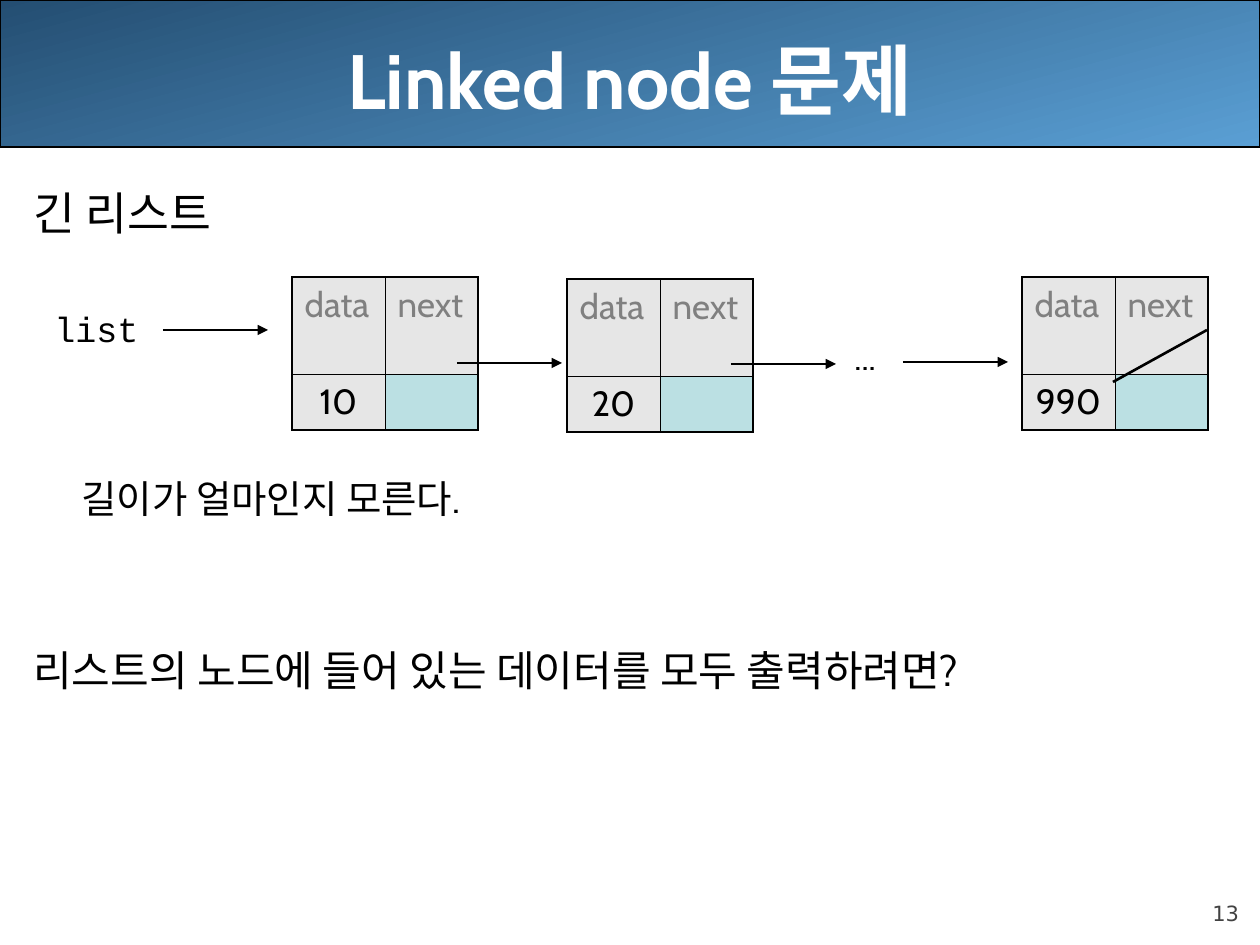
import pptx
import pptx.util
import pptx.dml.color
import pptx.enum.shapes
import pptx.enum.text
import pptx.oxml
import pptx.oxml.ns

PX = 914400 / 126
COLORS = {"black": "000000", "white": "FFFFFF", "dark": "244E72", "light": "5A9FD4",
          "gray": "808080", "cell": "E6E6E6", "pointer": "BBE0E3", "number": "424242"}
ALIGN = pptx.enum.text.PP_ALIGN
ANCHOR = pptx.enum.text.MSO_ANCHOR

TITLE = "Linked node 문제"
# text, size, indent in px, space before in pt
BODY = [
    ("긴 리스트", 26, 0, 0),
    ("길이가 얼마인지 모른다.", 22, 48, 134.5),
    ("리스트의 노드에 들어 있는 데이터를 모두 출력하려면?", 24, 0, 70.5),
]
# left, top, value
NODES = [(292, 277, "10"), (567, 279, "20"), (1022, 277, "990")]
FIELDS = ("data", "next")
COLUMN_WIDTH = 93
ROW_HEIGHTS = (97, 56)
# left, y; every arrow is equally long
ARROWS = [(163, 330), (457, 363), (731, 364), (903, 362)]
ARROW_LENGTH = 105
NULL_SLASH = (1207, 330, 1113, 382)
OUTER, INNER = 1.08, 0.45


def px(value):
    return pptx.util.Emu(round(value * PX))


def color(name):
    return pptx.dml.color.RGBColor.from_string(COLORS[name])


def drawing(xml):
    """Parse one element of the drawing namespace."""
    head, tail = xml.split(" ", 1) if " " in xml else (xml[:-2], "/>")
    return pptx.oxml.parse_xml(f"{head} {pptx.oxml.ns.nsdecls('a')} {tail}")


def write(para, text, size, font="Cabin", ink="black", bold=False, align=ALIGN.LEFT):
    para.alignment = align
    span = para.add_run()
    span.text = text
    span.font.size = pptx.util.Pt(size)
    span.font.name = font
    span.font.bold = bold
    span.font.color.rgb = color(ink)


def add_box(page, left, top, width, height, anchor=ANCHOR.TOP, wrap=True):
    box = page.shapes.add_textbox(px(left), px(top), px(width), px(height))
    box.text_frame.word_wrap = wrap
    box.text_frame.vertical_anchor = anchor
    return box.text_frame


def add_line(page, x1, y1, x2, y2, arrow=True):
    line = page.shapes.add_connector(
        pptx.enum.shapes.MSO_CONNECTOR.STRAIGHT, px(x1), px(y1), px(x2), px(y2))
    line.line.color.rgb = color("black")
    line.line.width = pptx.util.Pt(1.5)
    if arrow:
        line.line._get_or_add_ln().append(drawing('<a:tailEnd type="triangle"/>'))
    line._element.spPr.append(drawing("<a:effectLst/>"))


def set_borders(cell, row, column):
    """Heavy lines around the node, thin lines between its cells."""
    heavy = {"L": column == 0, "R": column == 1, "T": row == 0, "B": row == 1}
    properties = cell._tc.get_or_add_tcPr()
    for position, (side, is_outer) in enumerate(heavy.items()):
        width = pptx.util.Pt(OUTER if is_outer else INNER)
        properties.insert(position, drawing(
            f'<a:ln{side} w="{width}"><a:solidFill><a:srgbClr val="{COLORS["black"]}"/>'
            f'</a:solidFill></a:ln{side}>'))


def add_node(page, left, top, value):
    table = page.shapes.add_table(
        2, 2, px(left), px(top), px(2 * COLUMN_WIDTH), px(sum(ROW_HEIGHTS))).table
    table.first_row = table.horz_banding = False
    for column in table.columns:
        column.width = px(COLUMN_WIDTH)
    for row, height in zip(table.rows, ROW_HEIGHTS):
        row.height = px(height)
    for row in range(2):
        for column in range(2):
            cell = table.cell(row, column)
            cell.fill.solid()
            cell.fill.fore_color.rgb = color("pointer" if row and column else "cell")
            set_borders(cell, row, column)
    for column, field in enumerate(FIELDS):
        write(table.cell(0, column).text_frame.paragraphs[0], field, 20, ink="gray")
    write(table.cell(1, 0).text_frame.paragraphs[0], value, 20, align=ALIGN.CENTER)


def add_banner(page):
    banner = page.shapes.add_shape(
        pptx.enum.shapes.MSO_SHAPE.RECTANGLE, 0, 0, px(1260), px(147))
    banner.shadow.inherit = False
    banner.fill.gradient()
    banner.fill.gradient_angle = 285
    for stop, name, position in zip(banner.fill.gradient_stops, ("dark", "light"), (0, 1)):
        stop.color.rgb = color(name)
        stop.position = position
    banner.line.color.rgb = color("black")
    banner.line.width = pptx.util.Pt(0.75)


def main():
    deck = pptx.Presentation()
    deck.slide_width, deck.slide_height = px(1260), px(945)
    page = deck.slides.add_slide(deck.slide_layouts[6])

    add_banner(page)
    title = add_box(page, 63, 0, 1134, 157, ANCHOR.MIDDLE)
    write(title.paragraphs[0], TITLE, 44, ink="white", bold=True, align=ALIGN.CENTER)

    body = add_box(page, 21, 179, 1239, 714)
    for index, (text, size, indent, space) in enumerate(BODY):
        para = body.add_paragraph() if index else body.paragraphs[0]
        para._p.get_or_add_pPr().set("marL", str(px(indent)))
        para.space_before = pptx.util.Pt(space)
        write(para, text, size)

    for node in NODES:
        add_node(page, *node)
    for left, y in ARROWS:
        add_line(page, left, y, left + ARROW_LENGTH, y)
    add_line(page, *NULL_SLASH, arrow=False)

    start = add_box(page, 42, 301, 110, 55, wrap=False)
    write(start.paragraphs[0], "list", 20, font="Courier New")
    dots = add_box(page, 842, 329, 53, 55, wrap=False)
    write(dots.paragraphs[0], "...", 20)

    number = add_box(page, 1134, 876, 105, 50, ANCHOR.BOTTOM)
    number.margin_left = number.margin_right = number.margin_top = number.margin_bottom = 0
    write(number.paragraphs[0], "13", 12, font="DejaVu Sans", ink="number", align=ALIGN.RIGHT)

    deck.save("out.pptx")


if __name__ == "__main__":
    main()
